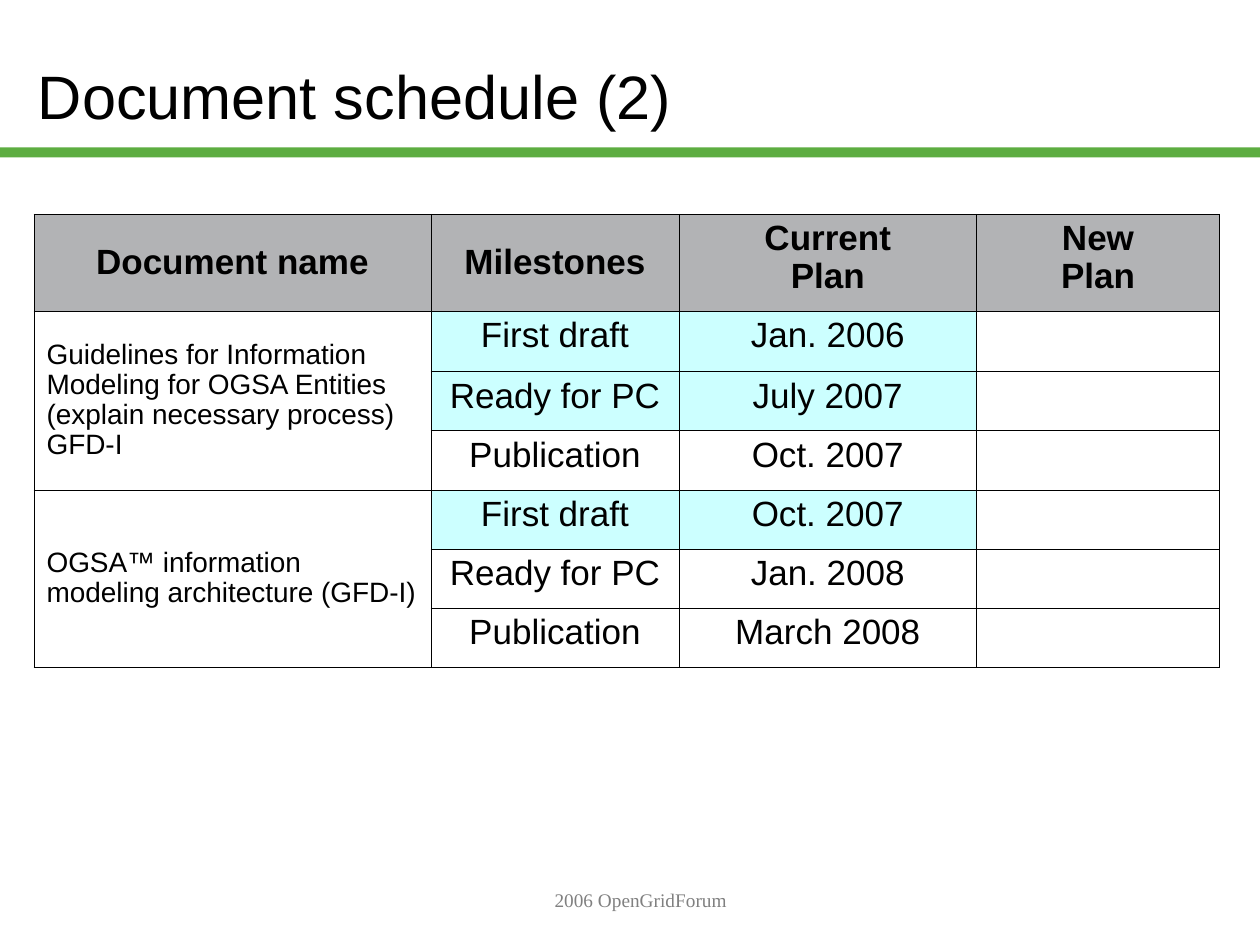
from lxml.etree import SubElement
from pptx import Presentation
from pptx.dml.color import RGBColor
from pptx.enum.shapes import MSO_SHAPE
from pptx.enum.text import MSO_ANCHOR, PP_ALIGN
from pptx.oxml.ns import qn
from pptx.util import Inches, Pt

HEADERS = [["Document name"], ["Milestones"], ["Current", "Plan"], ["New", "Plan"]]
# Each document: name lines, then (milestone, current plan, done)
DOCUMENTS = [
    (["Guidelines for Information Modeling for OGSA Entities",
      "(explain necessary process)", "GFD-I"],
     [("First draft", "Jan. 2006", True),
      ("Ready for PC", "July 2007", True),
      ("Publication", "Oct. 2007", False)]),
    (["OGSA™ information", "modeling architecture (GFD-I)"],
     [("First draft", "Oct. 2007", True),
      ("Ready for PC", "Jan. 2008", False),
      ("Publication", "March 2008", False)]),
]


def color(hex_string):
    return RGBColor.from_string(hex_string)


class Deck:
    """Style and current slide; lengths are columns and rows of a 100 x 75 grid."""
    font, ink, green = "Arial", "000000", "5DAD41"
    header_fill, done_fill, white = "B2B3B5", "CCFFFF", "FFFFFF"
    unit = Inches(0.1)

    def __init__(self):
        self.prs = Presentation()
        self.prs.slide_width, self.prs.slide_height = self.grid(100, 75)
        self.s = self.prs.slides.add_slide(self.prs.slide_layouts[5])

    def grid(self, *cells):
        return [round(c * self.unit) for c in cells]

    def add_lines(self, tf, lines, size, align=PP_ALIGN.LEFT, bold=False,
                  font=font, ink=ink, spacing=1.0):
        tf.word_wrap = True
        for i, line in enumerate(lines):
            p = tf.paragraphs[0] if i == 0 else tf.add_paragraph()
            p.alignment, p.line_spacing = align, spacing
            r = p.add_run()
            r.text = line
            r.font.size, r.font.bold, r.font.name = Pt(size), bold, font
            r.font.color.rgb = color(ink)

    def title(self, text, *box):
        sp = self.s.shapes.title
        sp.left, sp.top, sp.width, sp.height = self.grid(*box)
        sp.text_frame.vertical_anchor = MSO_ANCHOR.MIDDLE
        self.add_lines(sp.text_frame, [text], 35)

    def band(self, fill, *box):
        sp = self.s.shapes.add_shape(MSO_SHAPE.RECTANGLE, *self.grid(*box))
        sp.shadow.inherit = False
        sp.fill.solid()
        sp.fill.fore_color.rgb = color(fill)
        sp.line.fill.background()

    def text(self, text, size, font, ink, *box):
        sp = self.s.shapes.add_textbox(*self.grid(*box))
        self.add_lines(sp.text_frame, [text], size, PP_ALIGN.CENTER, font=font, ink=ink)

    def table(self, left, top, widths, heights):
        frame = self.s.shapes.add_table(
            len(heights), len(widths),
            *self.grid(left, top, sum(widths), sum(heights)))
        table = frame.table
        table.first_row = table.horz_banding = False
        for col, width in zip(table.columns, self.grid(*widths)):
            col.width = width
        for row, height in zip(table.rows, self.grid(*heights)):
            row.height = height
        for cell in table.iter_cells():
            self.border(cell)
            cell.fill.background()
        return table

    def border(self, cell):
        tc_pr = cell._tc.get_or_add_tcPr()
        for side in ("a:lnL", "a:lnR", "a:lnT", "a:lnB"):
            ln = SubElement(tc_pr, qn(side), w=str(Pt(0.45)))
            fill = SubElement(ln, qn("a:solidFill"))
            SubElement(fill, qn("a:srgbClr"), val=self.ink)

    def cell(self, cell, lines, size=20, align=PP_ALIGN.CENTER, bold=False,
             fill=None, middle=False):
        if fill:
            cell.fill.solid()
            cell.fill.fore_color.rgb = color(fill)
        if middle:
            cell.vertical_anchor = MSO_ANCHOR.MIDDLE
        self.add_lines(cell.text_frame, lines, size, align, bold, spacing=0.97)


def main():
    deck = Deck()

    # Title, rule and footer band
    deck.band(deck.green, 0, 11.7, 100, 0.8)
    deck.band(deck.white, 0, 68.2, 100, 6.8)
    deck.title("Document schedule (2)", 2, 1.3, 85, 12.5)

    # Schedule table
    table = deck.table(2.7, 17, [31.5, 19.7, 23.6, 19.3], [7.7, 4.8] + [4.7] * 5)
    for col, lines in enumerate(HEADERS):
        deck.cell(table.cell(0, col), lines, bold=True, fill=deck.header_fill,
                  middle=len(lines) == 1)
    row = 1
    for name, milestones in DOCUMENTS:
        name_cell = table.cell(row, 0)
        name_cell.merge(table.cell(row + len(milestones) - 1, 0))
        deck.cell(name_cell, name, 16, PP_ALIGN.LEFT, middle=True)
        for milestone, plan, done in milestones:
            fill = deck.done_fill if done else None
            deck.cell(table.cell(row, 1), [milestone], fill=fill)
            deck.cell(table.cell(row, 2), [plan], fill=fill)
            row += 1

    # Footer
    deck.text("2006 OpenGridForum", 11, "Times New Roman", "808080", 21.7, 70, 58.3, 5)

    deck.prs.save("out.pptx")


if __name__ == "__main__":
    main()
